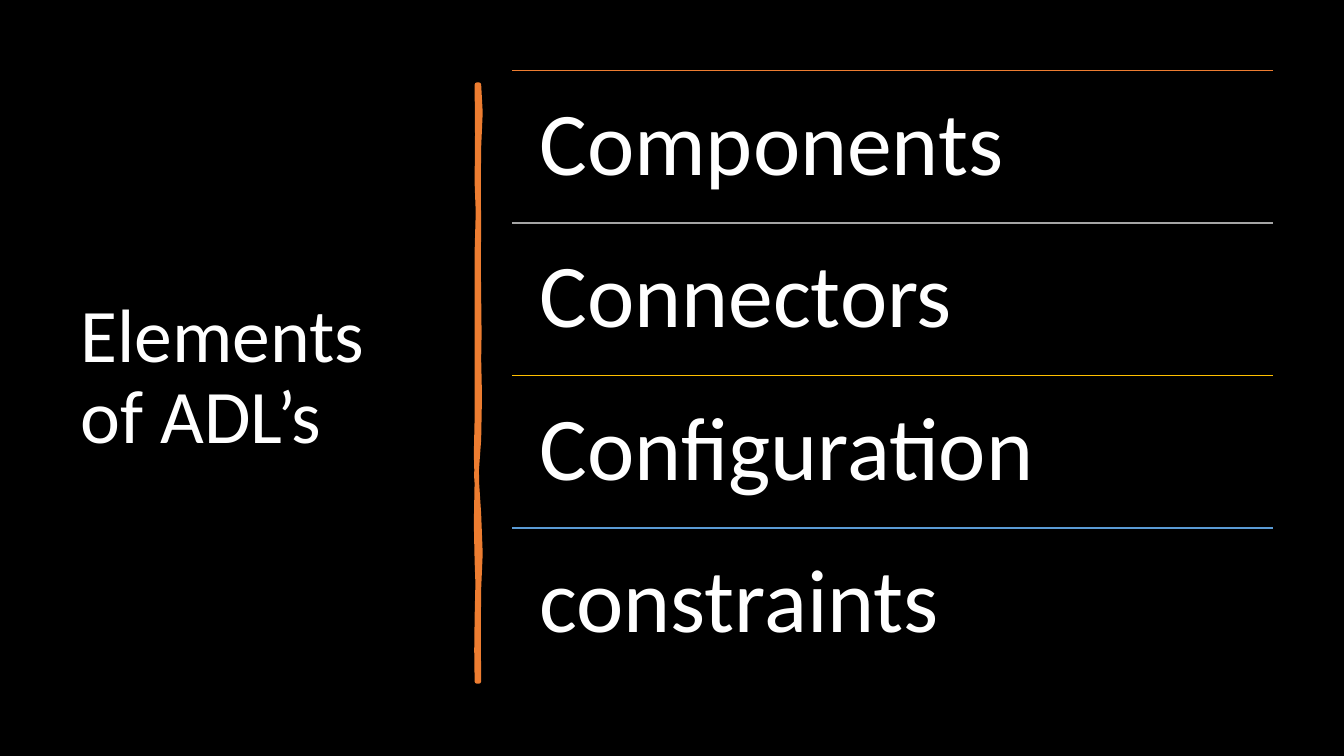
"""Build the slide that lists the elements of ADLs."""
import pptx
import pptx.dml.color
import pptx.enum.shapes
import pptx.enum.text
import pptx.oxml
import pptx.util
from pptx.util import Inches

ORANGE = "ED7D31"
WHITE = "FFFFFF"
ELEMENTS = [("Components", ORANGE), ("Connectors", "A5A5A5"),
            ("Configuration", "FFC000"), ("constraints", "5B9BD5")]
LIST_LEFT, LIST_TOP, LIST_WIDTH, LIST_HEIGHT = 5.08, 0.7, 7.55, 6.05
ROW_HEIGHT = LIST_HEIGHT / len(ELEMENTS)
UNITS_PER_INCH = 1000
BRUSH_START = (4.75, 0.84)
BRUSH_CURVES = [
    (4.77, 1.02, 4.77, 1.19, 4.75, 1.46), (4.73, 1.73, 4.76, 1.95, 4.75, 2.26),
    (4.74, 2.57, 4.75, 2.62, 4.75, 2.94), (4.74, 3.25, 4.77, 3.42, 4.75, 3.56),
    (4.73, 3.7, 4.79, 4.14, 4.75, 4.36), (4.71, 4.57, 4.72, 4.84, 4.75, 5.1),
    (4.77, 5.36, 4.77, 5.64, 4.75, 5.84), (4.73, 6.03, 4.76, 6.5, 4.75, 6.76),
    (4.74, 6.76, 4.73, 6.76, 4.73, 6.76), (4.74, 6.46, 4.71, 6.44, 4.73, 6.13),
    (4.74, 5.83, 4.74, 5.7, 4.73, 5.57), (4.72, 5.44, 4.72, 4.95, 4.73, 4.77),
    (4.73, 4.59, 4.71, 4.45, 4.73, 4.15), (4.74, 3.86, 4.72, 3.73, 4.73, 3.35),
    (4.74, 2.98, 4.72, 2.81, 4.73, 2.5), (4.74, 2.18, 4.75, 2, 4.73, 1.81),
    (4.7, 1.63, 4.77, 1.04, 4.73, 0.84)]


def paint(color_format, hex_color):
    """Set a colour from a hex string."""
    color_format.rgb = pptx.dml.color.RGBColor.from_string(hex_color)


def add_label(slide, box, words, size, anchor, inset=None):
    """Add a wrapped white label in the given box."""
    label = slide.shapes.add_textbox(*map(Inches, box))
    frame = label.text_frame
    frame.word_wrap = True
    frame.vertical_anchor = anchor
    if inset is not None:
        frame.margin_left = frame.margin_right = Inches(inset)
        frame.margin_top = frame.margin_bottom = Inches(inset)
    paragraph = frame.paragraphs[0]
    paragraph.line_spacing = 0.9
    run = paragraph.add_run()
    run.text = words
    run.font.name = "Calibri"
    run.font.size = pptx.util.Pt(size)
    paint(run.font.color, WHITE)


def add_rule(slide, top, hex_color):
    """Add a thin rule above a list row."""
    rule = slide.shapes.add_connector(
        pptx.enum.shapes.MSO_CONNECTOR.STRAIGHT, Inches(LIST_LEFT), Inches(top),
        Inches(LIST_LEFT + LIST_WIDTH), Inches(top))
    rule.line.width = pptx.util.Pt(1)
    paint(rule.line.color, hex_color)
    rule._element.spPr.append(pptx.oxml.parse_xml(
        '<a:effectLst xmlns:a="http://schemas.openxmlformats.org/drawingml/2006/main"/>'))


def trace(start, curves):
    """Return the middle and end points along a chain of cubic curves."""
    points = [start]
    for x1, y1, x2, y2, x3, y3 in curves:
        x0, y0 = points[-1]
        points.append(((x0 + 3 * x1 + 3 * x2 + x3) / 8,
                       (y0 + 3 * y1 + 3 * y2 + y3) / 8))
        points.append((x3, y3))
    return points


def add_brush(slide):
    """Add the hand-drawn divider."""
    points = [(x * UNITS_PER_INCH, y * UNITS_PER_INCH)
              for x, y in trace(BRUSH_START, BRUSH_CURVES)]
    builder = slide.shapes.build_freeform(*points[0],
                                          scale=Inches(1) / UNITS_PER_INCH)
    builder.add_line_segments(points[1:], close=True)
    brush = builder.convert_to_shape()
    brush.shadow.inherit = False
    brush.fill.solid()
    paint(brush.fill.fore_color, ORANGE)
    brush.line.width = pptx.util.Pt(3.25)
    paint(brush.line.color, ORANGE)


def main():
    """Build and save the slide."""
    deck = pptx.Presentation()
    deck.slide_width, deck.slide_height = Inches(13.33), Inches(7.5)
    slide = deck.slides.add_slide(deck.slide_layouts[6])
    slide.background.fill.solid()
    paint(slide.background.fill.fore_color, "000000")
    add_label(slide, (0.7, 0.7, 3.74, 6.11), "Elements of ADL’s", 54,
              pptx.enum.text.MSO_ANCHOR.MIDDLE)
    add_brush(slide)
    for row, (element, hex_color) in enumerate(ELEMENTS):
        top = LIST_TOP + row * ROW_HEIGHT
        add_rule(slide, top, hex_color)
        add_label(slide, (LIST_LEFT, top, LIST_WIDTH, ROW_HEIGHT), element, 64,
                  pptx.enum.text.MSO_ANCHOR.TOP, inset=0.27)
    deck.save("out.pptx")


if __name__ == "__main__":
    main()
